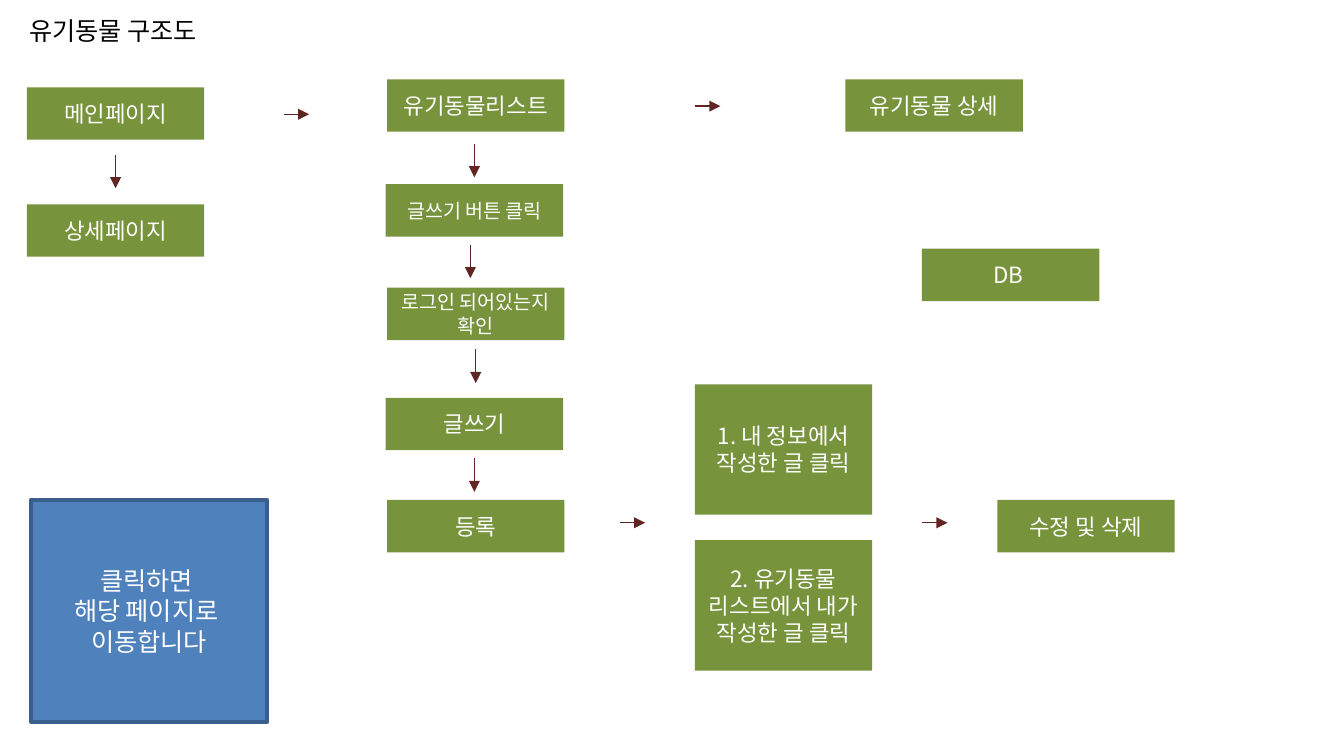
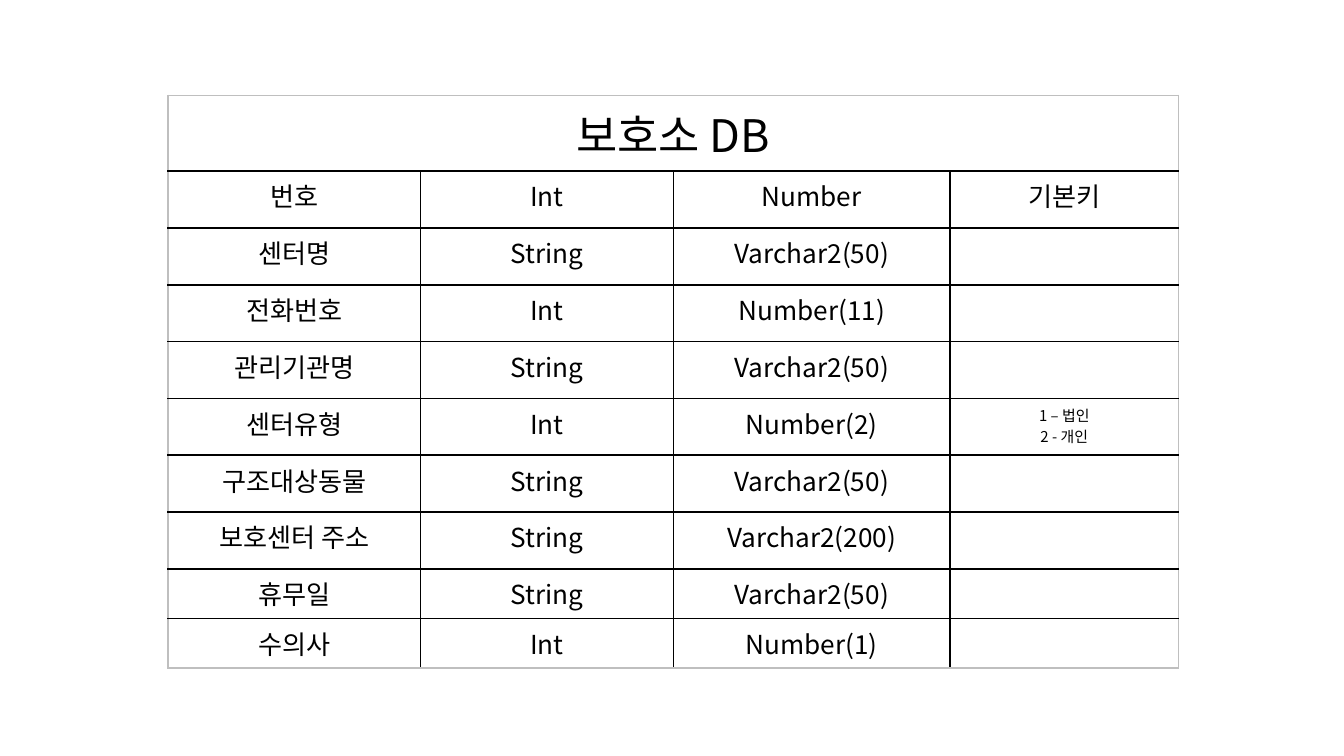
import dataclasses

import lxml.etree
import pptx
import pptx.dml.color
import pptx.enum.shapes
import pptx.enum.text
import pptx.oxml.ns
import pptx.util

inch = pptx.util.Inches
points = pptx.util.Pt
qn = pptx.oxml.ns.qn
PP = pptx.enum.text.PP_ALIGN
MID = pptx.enum.text.MSO_ANCHOR.MIDDLE
TOP = pptx.enum.text.MSO_ANCHOR.TOP
RECT = pptx.enum.shapes.MSO_SHAPE.RECTANGLE
LINE = pptx.enum.shapes.MSO_CONNECTOR.STRAIGHT


@dataclasses.dataclass(frozen=True)
class Theme:
    font: str = "Noto Sans CJK KR"
    ink: str = "000000"
    paper: str = "FFFFFF"
    green: str = "77933C"
    blue: str = "4F81BD"
    navy: str = "3A5F8C"
    wine: str = "632523"
    frame: str = "BFBFBF"
    title: float = 13.5
    node: float = 12
    small: float = 10.5
    head: float = 24
    body: float = 14
    note: float = 8


@dataclasses.dataclass(frozen=True)
class Box:
    """A region divided into columns and rows."""
    left: float
    top: float
    width: float
    height: float
    cols: float
    rows: float

    def x(self, col):
        return inch(self.left + self.width * col / self.cols)

    def y(self, row):
        return inch(self.top + self.height * row / self.rows)

    def area(self, col, row, wide, high):
        left, top = self.x(col), self.y(row)
        return left, top, self.x(col + wide) - left, self.y(row + high) - top


T = Theme()
WIDE = 10
HIGH = WIDE * 9 / 16


def rgb(code):
    return pptx.dml.color.RGBColor.from_string(code)


def write(frame, text, size=T.node, color=T.paper, align=PP.CENTER):
    """Fill a text frame, one paragraph per line of text."""
    for i, line in enumerate(text.split("\n")):
        para = frame.add_paragraph() if i else frame.paragraphs[0]
        para.alignment = align
        if not line:
            lxml.etree.SubElement(para._p, qn("a:endParaRPr"),
                                  sz=str(int(size * 100)))
            continue
        run = para.add_run()
        run.text = line
        run.font.name = T.font
        run.font.size = points(size)
        run.font.color.rgb = rgb(color)
        lxml.etree.SubElement(run.font._element, qn("a:ea"), typeface=T.font)


def node(slide, area, text, size=T.node, fill=T.green, edge=None):
    """Add a filled rectangle with centred text."""
    shape = slide.shapes.add_shape(RECT, *area)
    shape.shadow.inherit = False
    shape.fill.solid()
    shape.fill.fore_color.rgb = rgb(fill)
    if edge:
        shape.line.color.rgb = rgb(edge)
        shape.line.width = points(2)
    else:
        shape.line.fill.background()
    frame = shape.text_frame
    frame.word_wrap = True
    frame.vertical_anchor = MID
    write(frame, text, size=size)


def arrow(slide, box, col, row, across=0, down=0):
    """Add a short arrow that runs across or down."""
    link = slide.shapes.add_connector(
        LINE, box.x(col), box.y(row), box.x(col + across), box.y(row + down))
    link.line.color.rgb = rgb(T.wine)
    link.line.width = points(0.75)
    lxml.etree.SubElement(link.line._get_or_add_ln(), qn("a:tailEnd"),
                          type="triangle")
    lxml.etree.SubElement(link._element.spPr, qn("a:effectLst"))


def title(slide, box, text):
    """Add the slide title at the top left."""
    label = slide.shapes.add_textbox(*box.area(1.2, 0.65, 17.6, 3.3))
    frame = label.text_frame
    frame.word_wrap = True
    frame.auto_size = pptx.enum.text.MSO_AUTO_SIZE.SHAPE_TO_FIT_TEXT
    write(frame, text, size=T.title, color=T.ink, align=PP.LEFT)


def flow(slide, box):
    """Place the page structure: steps, arrows and the hint."""
    wide, low, tall = 13.2, 3.9, 9.7

    # Steps: column, row, height, size, text
    steps = [
        (2, 6.5, low, T.node, "메인페이지"),
        (2, 15.2, low, T.node, "상세페이지"),
        (28.8, 5.9, low, T.node, "유기동물리스트"),
        (28.7, 13.7, low, T.small, "글쓰기 버튼 클릭"),
        (28.8, 21.4, low, T.small, "로그인 되어있는지 확인"),
        (28.7, 29.6, low, T.node, "글쓰기"),
        (28.8, 37.2, low, T.node, "등록"),
        (51.7, 28.6, tall, T.node, "1. 내 정보에서 작성한 글 클릭"),
        (51.7, 40.2, tall, T.node, "2. 유기동물 리스트에서 내가 작성한 글 클릭"),
        (62.9, 5.9, low, T.node, "유기동물 상세"),
        (68.6, 18.5, low, T.node, "DB "),
        (74.2, 37.2, low, T.node, "수정 및 삭제"),
    ]
    for col, row, high, size, text in steps:
        node(slide, box.area(col, row, wide, high), text, size=size)

    # Arrows between neighbouring steps
    for col, row in [(21.1, 8.5), (51.7, 7.9), (46.1, 38.9), (68.6, 38.9)]:
        arrow(slide, box, col, row, across=1.9)
    for col, row in [(8.6, 11.5), (35.3, 10.7), (35, 18.2), (35.4, 26),
                     (35.3, 34.1)]:
        arrow(slide, box, col, row, down=2.5)

    # Hint
    node(slide, box.area(2.3, 37.2, 17.6, 16.5),
         "클릭하면 \n해당 페이지로 \n이동합니다",
         size=T.title, fill=T.blue, edge=T.navy)


def border(cell, **sides):
    """Draw the named sides (L, R, T, B) of a cell."""
    props = cell._tc.get_or_add_tcPr()
    for side, color in sides.items():
        line = lxml.etree.SubElement(props, qn("a:ln" + side),
                                     w=str(points(1)))
        fill = lxml.etree.SubElement(line, qn("a:solidFill"))
        lxml.etree.SubElement(fill, qn("a:srgbClr"), val=color)


def grid(slide, box, head, data):
    """Place a table with one merged heading row."""
    widths = [18.8, 18.8, 20.6, 17]
    heights = [4.7] + [4.23] * 7 + [3.7] * 2
    rows = [[head, "", "", ""]] + data
    frame = slide.shapes.add_table(
        len(rows), len(widths), *box.area(0, 0, sum(widths), sum(heights)))
    table = frame.table
    table.first_row = table.horz_banding = False
    for col, wide in zip(table.columns, widths):
        col.width = box.x(wide) - box.x(0)
    for row, high in zip(table.rows, heights):
        row.height = box.y(high) - box.y(0)
    table.cell(0, 0).merge(table.cell(0, len(widths) - 1))

    # Cells
    for r, row in enumerate(rows):
        for c, text in enumerate(row):
            cell = table.cell(r, c)
            cell.margin_left = cell.margin_right = inch(0.07)
            cell.margin_top = cell.margin_bottom = inch(0.04)
            cell.vertical_anchor = TOP
            border(cell,
                   L=T.ink if c else T.frame,
                   R=T.ink if r and c < len(widths) - 1 else T.frame,
                   T=T.ink if r else T.frame,
                   B=T.ink if r < len(rows) - 1 else T.frame)
            cell.fill.background()
            size = T.head if text == head else T.body
            if "\n" in text:
                size = T.note
            write(cell.text_frame, text, size=size, color=T.ink)


FIELDS = [
    ["번호", "Int", "Number", "기본키"],
    ["센터명", "String", "Varchar2(50)", ""],
    ["전화번호", "Int", "Number(11)", ""],
    ["관리기관명", "String", "Varchar2(50)", ""],
    ["센터유형", "Int", "Number(2)", "1 – 법인\n2 - 개인"],
    ["구조대상동물", "String", "Varchar2(50)", ""],
    ["보호센터 주소", "String", "Varchar2(200)", ""],
    ["휴무일", "String", "Varchar2(50)", ""],
    ["수의사", "Int", "Number(1)", ""],
]


def main():
    deck = pptx.Presentation()
    deck.slide_width, deck.slide_height = inch(WIDE), inch(HIGH)
    blank = deck.slide_layouts[6]
    page = Box(0, 0, WIDE, HIGH, cols=WIDE * 10, rows=HIGH * 10)

    # Page structure
    first = deck.slides.add_slide(blank)
    title(first, page, "유기동물 구조도")
    flow(first, page)

    # Shelter table
    second = deck.slides.add_slide(blank)
    grid(second, Box(1.25, 0.71, 7.52, 4.18, cols=75.2, rows=41.8),
         "보호소 DB", FIELDS)

    deck.save("out.pptx")


if __name__ == "__main__":
    main()
